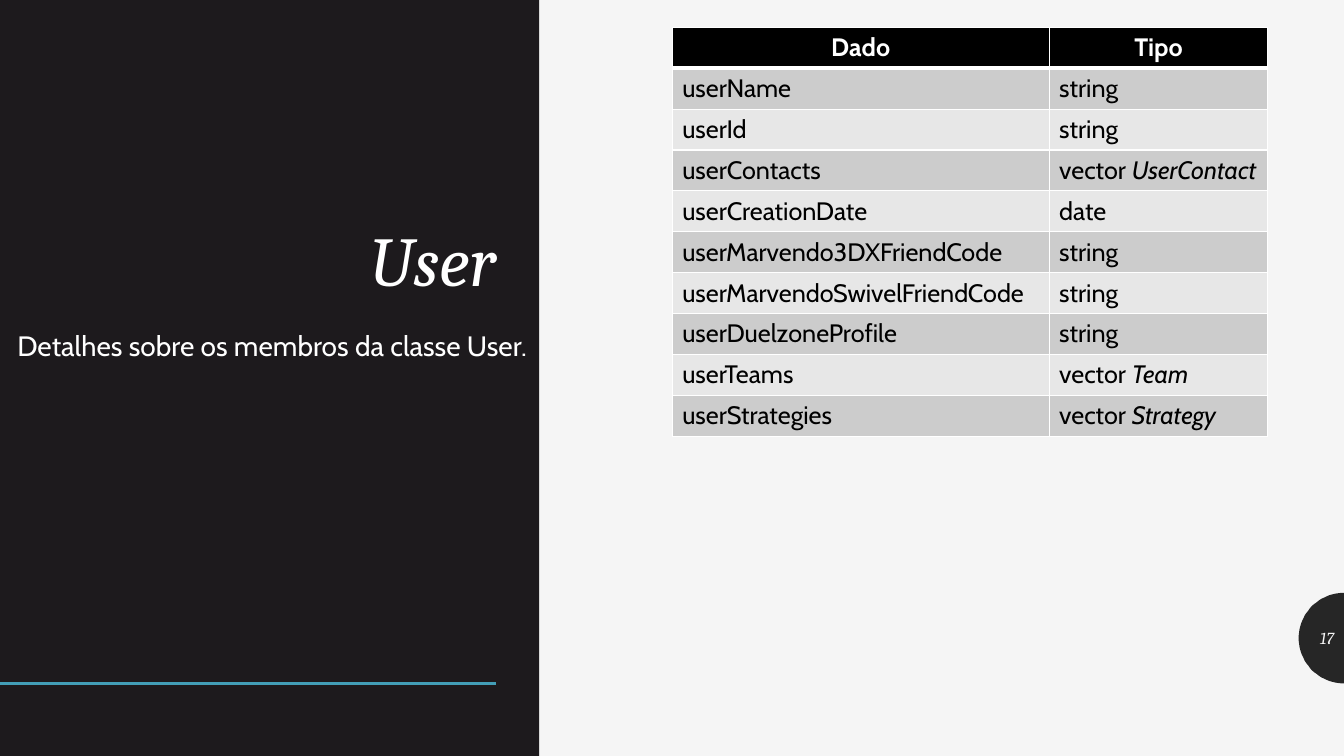
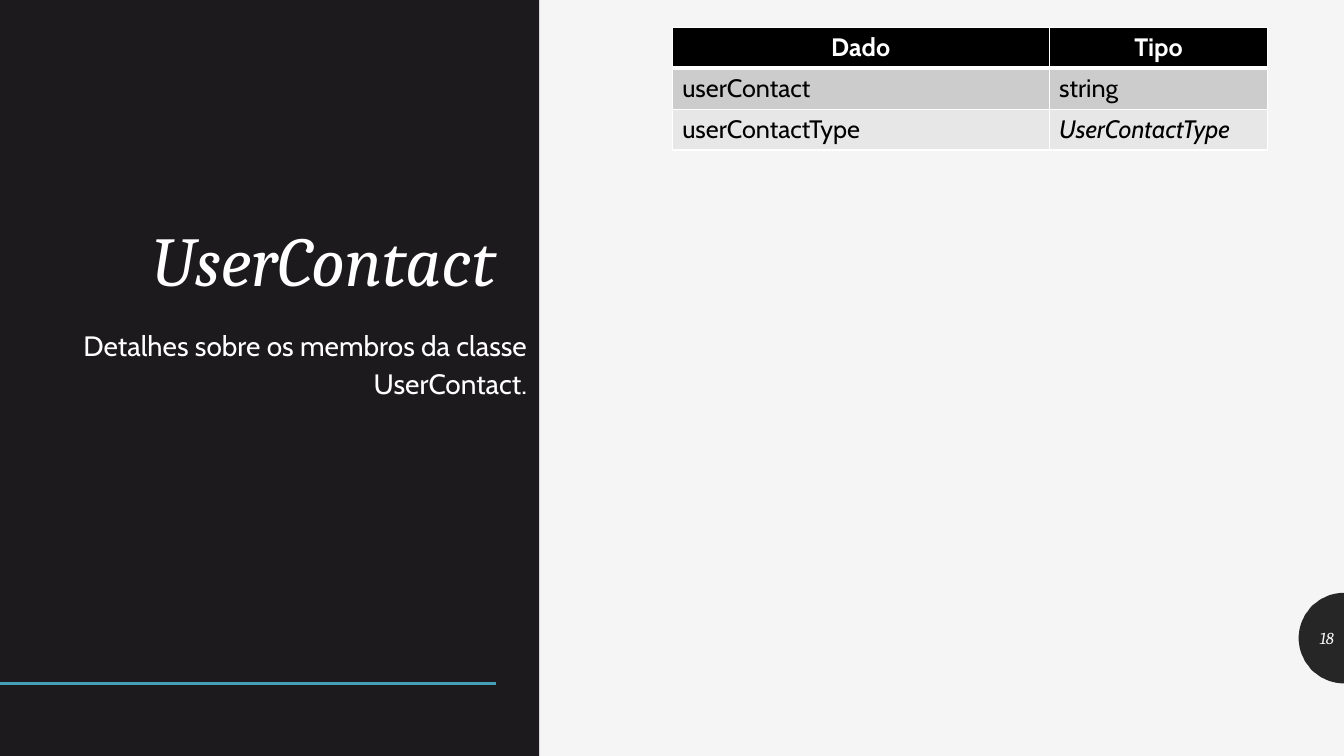
"""Build two slides that list the members of the User and UserContact classes."""
from math import cos, pi, sin

from lxml.etree import SubElement
from pptx import Presentation
from pptx.dml.color import RGBColor
from pptx.enum.shapes import MSO_CONNECTOR, MSO_SHAPE
from pptx.enum.text import MSO_ANCHOR, MSO_AUTO_SIZE, PP_ALIGN
from pptx.oxml.ns import qn
from pptx.util import Cm, Pt

COLORS = {
    "background": "F5F5F5",
    "band": "1D1A1D",
    "badge": "262626",
    "accent": "439EB7",
    "white": "FFFFFF",
    "black": "000000",
    "odd_row": "CCCCCC",
    "even_row": "E7E7E7",
}
HEADING_FONT, BODY_FONT = "Cambria", "Cabin"
ROW_HEIGHT = Cm(1.03)
COLUMN_WIDTHS = (Cm(9.5), Cm(5.51))

PAGES = [
    ("User", "17", [
        ("userName", "string", ""),
        ("userId", "string", ""),
        ("userContacts", "vector ", "UserContact"),
        ("userCreationDate", "date", ""),
        ("userMarvendo3DXFriendCode", "string", ""),
        ("userMarvendoSwivelFriendCode", "string", ""),
        ("userDuelzoneProfile", "string", ""),
        ("userTeams", "vector ", "Team"),
        ("userStrategies", "vector ", "Strategy"),
    ]),
    ("UserContact", "18", [
        ("userContact", "string", ""),
        ("userContactType", "", "UserContactType"),
    ]),
]


def add_span(para, text, size, font, color, bold=False, italic=False):
    """Add one formatted run to a paragraph."""
    span = para.add_run()
    span.text = text
    span.font.size = Pt(size)
    span.font.name = font
    span.font.bold = bold
    span.font.italic = italic
    span.font.color.rgb = RGBColor.from_string(COLORS[color])


def style_cell(cell, fill, top, bottom):
    """Give a table cell white borders and a solid fill."""
    properties = cell._tc.get_or_add_tcPr()
    for side, width in (("L", 1), ("R", 1), ("T", top), ("B", bottom)):
        border = SubElement(properties, qn(f"a:ln{side}"), w=str(Pt(width)))
        paint = SubElement(border, qn("a:solidFill"))
        SubElement(paint, qn("a:srgbClr"), val=COLORS["white"])
    cell.fill.solid()
    cell.fill.fore_color.rgb = RGBColor.from_string(COLORS[fill])


deck = Presentation()
deck.slide_width, deck.slide_height = Cm(33.87), Cm(19.05)
layout = deck.slide_layouts[1]
layout.background.fill.solid()
layout.background.fill.fore_color.rgb = RGBColor.from_string(COLORS["background"])
pages = [deck.slides.add_slide(layout) for _ in PAGES]

shapes = pages[0].shapes
band = shapes.add_shape(MSO_SHAPE.RECTANGLE, 0, 0, Cm(13.59), deck.slide_height)
center_x, center_y, radius, steps = 3387, 1608, 114, 48
outline = shapes.build_freeform(center_x, center_y - radius, scale=Cm(0.01))
angles = [pi * step / steps for step in range(1, steps + 1)]
outline.add_line_segments(
    [(center_x - radius * sin(angle), center_y - radius * cos(angle)) for angle in angles]
)
badge = outline.convert_to_shape()
for shape, color in ((band, "band"), (badge, "badge")):
    shape.shadow.inherit = False
    shape.fill.solid()
    shape.fill.fore_color.rgb = RGBColor.from_string(COLORS[color])
    shape.line.fill.background()
rule = shapes.add_connector(MSO_CONNECTOR.STRAIGHT, 0, Cm(17.22), Cm(12.5), Cm(17.22))
rule.line.color.rgb = RGBColor.from_string(COLORS["accent"])
rule.line.width = Pt(2)
SubElement(rule._element.spPr, qn("a:effectLst"))
for shape in (band, badge, rule):
    layout.shapes._spTree.append(shape._element)

for page, (class_name, number, members) in zip(pages, PAGES):
    title, body = page.shapes.title, page.placeholders[1]
    title.left, title.top, title.width, title.height = Cm(2.11), Cm(1.55), Cm(10.64), Cm(6.17)
    body.left, body.top, body.width, body.height = Cm(0), Cm(8.05), Cm(13.54), Cm(7.92)
    number_box = page.shapes.add_textbox(Cm(32.74), Cm(15.57), Cm(1.13), Cm(1.02))
    for box, anchor in (
        (title, MSO_ANCHOR.BOTTOM), (body, MSO_ANCHOR.TOP), (number_box, MSO_ANCHOR.MIDDLE)
    ):
        box.text_frame.auto_size = MSO_AUTO_SIZE.NONE
        box.text_frame.word_wrap = True
        box.text_frame.vertical_anchor = anchor
        box.text_frame.paragraphs[0].alignment = PP_ALIGN.RIGHT

    para = title.text_frame.paragraphs[0]
    para.line_spacing = 0.9
    add_span(para, class_name, 50, HEADING_FONT, "white", italic=True)

    para = body.text_frame.paragraphs[0]
    para.line_spacing = 1.12
    para.space_before = Pt(9)
    paragraph_format = para._p.get_or_add_pPr()
    paragraph_format.set("marL", "0")
    paragraph_format.set("indent", "0")
    SubElement(paragraph_format, qn("a:buNone"))
    add_span(para, f"Detalhes sobre os membros da classe {class_name}.", 20, BODY_FONT, "white")

    para = number_box.text_frame.paragraphs[0]
    add_span(para, number, 12, HEADING_FONT, "background", italic=True)

    row_count = len(members) + 1
    table = page.shapes.add_table(
        row_count, 2, Cm(16.94), Cm(0.69), sum(COLUMN_WIDTHS), ROW_HEIGHT * row_count
    ).table
    for column, width in zip(table.columns, COLUMN_WIDTHS):
        column.width = width
    for cell, heading in zip(table.rows[0].cells, ("Dado", "Tipo")):
        style_cell(cell, "black", 1, 3)
        para = cell.text_frame.paragraphs[0]
        para.alignment = PP_ALIGN.CENTER
        add_span(para, heading, 18, BODY_FONT, "white", bold=True)
    for index, (member, plain_type, class_type) in enumerate(members, 1):
        name_cell, type_cell = table.rows[index].cells
        for cell in (name_cell, type_cell):
            style_cell(cell, "odd_row" if index % 2 else "even_row", 3 if index == 1 else 1, 1)
        add_span(name_cell.text_frame.paragraphs[0], member, 18, BODY_FONT, "black")
        para = type_cell.text_frame.paragraphs[0]
        if plain_type:
            add_span(para, plain_type, 18, BODY_FONT, "black")
        if class_type:
            add_span(para, class_type, 18, BODY_FONT, "black", italic=True)

deck.save("out.pptx")
